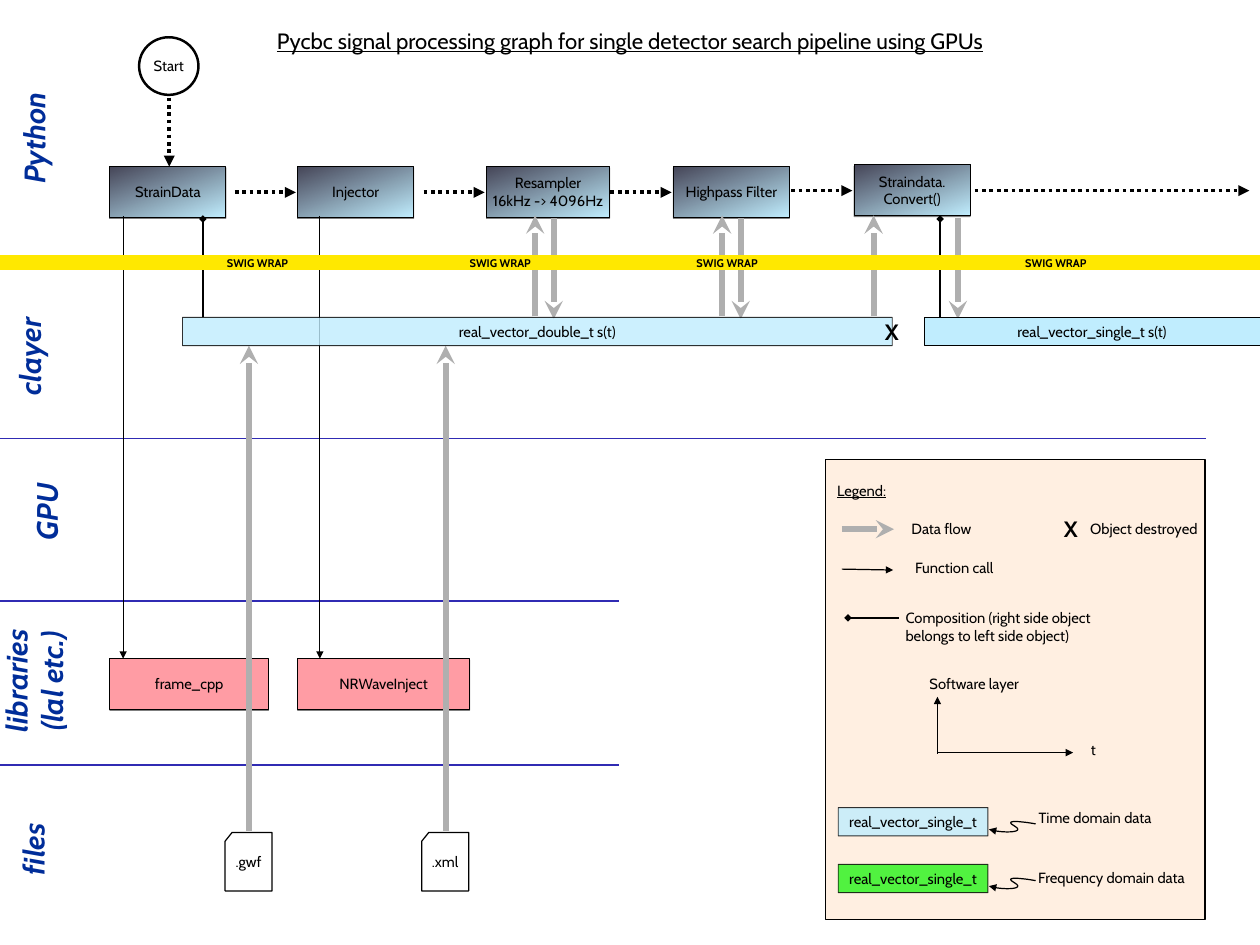
from dataclasses import dataclass

from lxml import etree
from pptx import Presentation
from pptx.dml.color import RGBColor
from pptx.enum.dml import MSO_LINE
from pptx.enum.shapes import MSO_CONNECTOR, MSO_SHAPE
from pptx.enum.text import MSO_ANCHOR, MSO_AUTO_SIZE, PP_ALIGN
from pptx.oxml.ns import qn
from pptx.util import Inches, Pt

RECT, OVAL = MSO_SHAPE.RECTANGLE, MSO_SHAPE.OVAL
STRAIGHT, DOTS = MSO_CONNECTOR.STRAIGHT, MSO_LINE.ROUND_DOT
MIDDLE, BOTTOM = MSO_ANCHOR.MIDDLE, MSO_ANCHOR.BOTTOM
LEFT, CENTER, FIXED = PP_ALIGN.LEFT, PP_ALIGN.CENTER, MSO_AUTO_SIZE.NONE
COLUMNS, ROWS, CELL = 14.22, 10.66, 1


@dataclass(frozen=True)
class Theme:
    """Colours and type sizes of the slide."""
    font: str = "Cabin"
    ink: str = "000000"
    lane: str = "002D99"
    divider: str = "302BB3"
    flow: str = "AFAFAF"
    band: str = "FFE800"
    step_dark: str = "464658"
    time_data: str = "C0EDFE"
    frequency_data: str = "26F318"
    library: str = "FF9CA4"
    legend: str = "FFEFE1"
    small: int = 9
    body: int = 12
    title: int = 18
    heading: int = 24


@dataclass(frozen=True)
class Stroke:
    """Look of a line and of its two ends."""
    colour: str
    width: float
    head: str = "none"
    tail: str = "none"
    dotted: bool = False


@dataclass(frozen=True)
class Box:
    """Area measured in columns and rows of the slide grid."""
    left: float
    top: float
    width: float
    height: float

    def area(self, x, y, width, height):
        """Return a smaller area placed relative to this one."""
        return Box(self.left + x, self.top + y, width, height)

    def point(self, x, y):
        """Return a position relative to this area in slide units."""
        return Inches((self.left + x) * CELL), Inches((self.top + y) * CELL)

    def frame(self):
        """Return left, top, width and height in slide units."""
        return (*self.point(0, 0), Inches(self.width * CELL), Inches(self.height * CELL))


THEME = Theme()
DIVIDER = Stroke(THEME.divider, 1)
BAND = Stroke(THEME.band, 12)
OUTLINE = Stroke(THEME.ink, 1)
THIN = Stroke(THEME.ink, 0.75)
RING = Stroke(THEME.ink, 2)
CALL = Stroke(THEME.ink, 1, tail="triangle")
COMPOSITION = Stroke(THEME.ink, 2, head="diamond")
FLOW = Stroke(THEME.flow, 5, tail="stealth")
SEQUENCE = Stroke(THEME.ink, 3, tail="triangle", dotted=True)


def apply_stroke(drawn, stroke):
    """Give a shape or connector its line and arrowheads."""
    drawn.line.color.rgb = RGBColor.from_string(stroke.colour)
    drawn.line.width = Pt(stroke.width)
    if stroke.dotted:
        drawn.line.dash_style = DOTS
    ln = drawn.element.spPr.find(qn("a:ln"))
    for end, kind in (("a:headEnd", stroke.head), ("a:tailEnd", stroke.tail)):
        if kind != "none":
            etree.SubElement(ln, qn(end), type=kind)


def write(holder, text, size=THEME.body, colour=THEME.ink, align=CENTER, wrap=True,
          anchor=MIDDLE, bold=False, italic=False, underline=False):
    """Fill a holder with formatted text."""
    frame = holder.text_frame
    frame.text = text
    frame.auto_size, frame.word_wrap, frame.vertical_anchor = FIXED, wrap, anchor
    frame.margin_left = frame.margin_right = frame.margin_top = frame.margin_bottom = 0
    for paragraph in frame.paragraphs:
        paragraph.alignment = align
        font = paragraph.font
        font.name, font.size = THEME.font, Pt(size)
        font.bold, font.italic, font.underline = bold, italic, underline
        font.color.rgb = RGBColor.from_string(colour)


def label(shapes, box, text, rotation=0, **style):
    """Add free text in a box."""
    holder = shapes.add_textbox(*box.frame())
    holder.rotation = rotation
    write(holder, text, **style)


def link(shapes, box, start, end, stroke):
    """Join two points of a box with a straight line."""
    line = shapes.add_connector(STRAIGHT, *box.point(*start), *box.point(*end))
    apply_stroke(line, stroke)
    etree.SubElement(line.element.spPr, qn("a:effectLst"))


def block(shapes, box, text="", colour=None, stroke=THIN, kind=RECT, opacity=100):
    """Add an outlined block with centred text."""
    shape = shapes.add_shape(kind, *box.frame())
    shape.shadow.inherit = False
    if colour:
        shape.fill.solid()
        shape.fill.fore_color.rgb = RGBColor.from_string(colour)
    else:
        shape.fill.background()
    apply_stroke(shape, stroke)
    if opacity < 100:
        for tint in shape.element.spPr.iter(qn("a:srgbClr")):
            etree.SubElement(tint, qn("a:alpha"), val=str(opacity * 1000))
    if text:
        write(shape, text)
    return shape


def add_shadow(shape):
    """Put a thin dark edge below a block."""
    effects = shape.element.spPr.find(qn("a:effectLst"))
    shadow = etree.SubElement(effects, qn("a:outerShdw"), blurRad="0", dist="12700", dir="5400000")
    tint = etree.SubElement(shadow, qn("a:srgbClr"), val=THEME.ink)
    etree.SubElement(tint, qn("a:alpha"), val="50000")


def outline(shapes, points, stroke, close):
    """Draw an unfilled outline through points in slide units."""
    builder = shapes.build_freeform(*points[0])
    builder.add_line_segments(points[1:], close=close)
    shape = builder.convert_to_shape()
    shape.shadow.inherit = False
    shape.fill.background()
    apply_stroke(shape, stroke)
    return shape


def draw_title(shapes, box):
    """Place the slide title."""
    title = shapes.title
    title.left, title.top, title.width, title.height = box.frame()
    write(title, "Pycbc signal processing graph for single detector search pipeline using GPUs",
          size=THEME.title, anchor=BOTTOM, underline=True)


def draw_lanes(shapes, box):
    """Name the software layers and separate them."""
    for y, width in ((4.95, 13.61), (6.78, 6.99), (8.63, 6.99)):
        link(shapes, box, (0, y), (width, y), DIVIDER)
    for name, x, y in (("Python", 0.38, 1.56), ("clayer", 0.33, 4.02), ("GPU", 0.52, 5.77),
                       ("libraries\n(lal etc.)", 0.38, 7.68), ("files", 0.37, 9.58)):
        label(shapes, box.area(x - 0.8, y - 0.4, 1.6, 0.8), name, rotation=270,
              size=THEME.heading, colour=THEME.lane, bold=True, italic=True)


def draw_steps(shapes, box):
    """Draw the chain of Python processing steps."""
    block(shapes, box.area(1.57, 0.42, 0.67, 0.65), "Start", stroke=RING, kind=OVAL)
    link(shapes, box, (1.91, 1.1), (1.91, 1.88), SEQUENCE)
    steps = (("StrainData", 1.24, 1.88, 1.31), ("Injector", 3.36, 1.88, 1.31),
             ("Resampler\n16kHz -> 4096Hz", 5.49, 1.88, 1.39),
             ("Highpass Filter", 7.6, 1.88, 1.31), ("Straindata.\nConvert()", 9.64, 1.86, 1.31))
    for order, (name, x, y, width) in enumerate(steps):
        step = block(shapes, box.area(x, y, width, 0.57), name, THEME.time_data)
        step.fill.gradient()
        step.fill.gradient_angle = 110
        for stop, colour in zip(step.fill.gradient_stops, (THEME.time_data, THEME.step_dark)):
            stop.color.rgb = RGBColor.from_string(colour)
        add_shadow(step)
        if order:
            link(shapes, box, (x - 0.71, y + 0.29), (x - 0.02, y + 0.29), SEQUENCE)
    link(shapes, box, (11, 2.15), (14.1, 2.15), SEQUENCE)


def draw_libraries(shapes, box):
    """Draw the called libraries."""
    for name, x, width in (("frame_cpp", 1.24, 1.79), ("NRWaveInject", 3.36, 1.94)):
        add_shadow(block(shapes, box.area(x, 0.65, width, 0.57), name, THEME.library))


def draw_links(shapes, box):
    """Draw the calls, compositions and data flows between layers."""
    for x in (1.39, 3.61):
        link(shapes, box, (x, 2.44), (x, 7.43), CALL)
    for x in (2.29, 10.61):
        link(shapes, box, (x, 2.47), (x, 3.58), COMPOSITION)
    for x in (6.04, 8.15, 9.86):
        link(shapes, box, (x, 3.57), (x, 2.43), FLOW)
    for x in (6.25, 8.36, 10.81):
        link(shapes, box, (x, 2.46), (x, 3.6), FLOW)
    for x in (2.81, 5.03):
        link(shapes, box, (x, 9.37), (x, 3.9), FLOW)


def draw_vectors(shapes, box):
    """Draw the data vectors of the C layer."""
    block(shapes, box.area(10.43, 0.62, 3.79, 0.32), "real_vector_single_t s(t)", THEME.time_data)
    block(shapes, box.area(2.06, 0.62, 8.01, 0.32), "real_vector_double_t s(t)",
          THEME.time_data, opacity=80)
    label(shapes, box.area(9.98, 0.63, 0.17, 0.3), "X", size=THEME.title, wrap=False, bold=True)


def draw_files(shapes, box):
    """Draw the input files as sheets with a cut corner."""
    for name, x in ((".gwf", 2.54), (".xml", 4.76)):
        sheet = box.area(x, 0.76, 0.53, 0.66)
        corners = ((0, 0.1), (0.08, 0), (0.53, 0), (0.53, 0.66), (0, 0.66))
        outline(shapes, [sheet.point(*corner) for corner in corners], OUTLINE, True)
        label(shapes, sheet, name, wrap=False)


def draw_band(shapes, box):
    """Draw the wrapper band between Python and the C layer."""
    link(shapes, box, (0, 0.12), (box.width, 0.12), BAND)
    for x in (1.86, 4.6, 7.16, 10.87):
        label(shapes, box.area(x, 0, 2.09, 0.25), "SWIG WRAP", size=THEME.small, bold=True)


def draw_pointer(shapes, box):
    """Draw a wavy arrow that points to the left."""
    curves = (((0.53, 0.11), (0.53, 0.11), (0.12, 0.01), (0.29, 0.12)),
              ((0.29, 0.12), (0.43, 0.21), (0.12, 0.19), (0, 0.14)))
    points = []
    for curve in curves:
        for t in (step / 12 for step in range(13)):
            weights = ((1 - t) ** 3, 3 * t * (1 - t) ** 2, 3 * t * t * (1 - t), t ** 3)
            points.append(box.point(*(sum(w * p for w, p in zip(weights, axis))
                                      for axis in zip(*curve))))
    outline(shapes, points, CALL, False).rotation = 356.6


def draw_legend(shapes, box):
    """Explain the symbols of the graph."""
    block(shapes, box, colour=THEME.legend, stroke=OUTLINE)
    label(shapes, box.area(0.09, 0.25, 0.63, 0.2), "Legend:", wrap=False, underline=True)
    for start, end, stroke in (((0.18, 0.79), (0.77, 0.79), FLOW),
                               ((0.18, 1.24), (0.76, 1.25), CALL),
                               ((0.25, 1.79), (0.83, 1.79), COMPOSITION),
                               ((1.26, 3.32), (1.26, 2.68), CALL),
                               ((1.26, 3.31), (2.79, 3.31), CALL)):
        link(shapes, box, start, end, stroke)
    for text, x, y, width in (("Data flow", 0.93, 0.68, 0.75), ("Function call", 0.96, 1.12, 0.98),
                              ("Object destroyed", 2.92, 0.68, 1.34), ("t", 2.99, 3.18, 0.06),
                              ("Software layer", 1.11, 2.43, 1.13),
                              ("Time domain data", 2.33, 3.94, 1.42),
                              ("Frequency domain data", 2.3, 4.62, 1.85)):
        label(shapes, box.area(x, y, width, 0.2), text, wrap=False)
    label(shapes, box.area(0.9, 1.69, 2.4, 0.4),
          "Composition (right side object\nbelongs to left side object)", align=LEFT)
    label(shapes, box.area(2.68, 0.63, 0.17, 0.3), "X", size=THEME.title, wrap=False, bold=True)
    for y, colour in ((3.93, THEME.time_data), (4.57, THEME.frequency_data)):
        block(shapes, box.area(0.14, y, 1.69, 0.32), "real_vector_single_t", colour, opacity=80)
        draw_pointer(shapes, box.area(1.84, y + 0.09, 0.53, 0.11))


def main():
    """Build the slide and save it."""
    deck = Presentation()
    deck.slide_width, deck.slide_height = Inches(COLUMNS * CELL), Inches(ROWS * CELL)
    shapes = deck.slides.add_slide(deck.slide_layouts[5]).shapes
    page = Box(0, 0, COLUMNS, ROWS)
    draw_title(shapes, page.area(1.39, 0.19, 11.44, 0.42))
    draw_legend(shapes, page.area(9.32, 5.18, 4.28, 5.19))
    draw_lanes(shapes, page)
    draw_steps(shapes, page.area(0, 0, COLUMNS, 2.96))
    draw_libraries(shapes, page.area(0, 6.78, COLUMNS, 1.85))
    draw_links(shapes, page)
    draw_vectors(shapes, page.area(0, 2.96, COLUMNS, 1.99))
    draw_files(shapes, page.area(0, 8.63, COLUMNS, 2.03))
    draw_band(shapes, page.area(0, 2.84, COLUMNS, 0.25))
    deck.save("out.pptx")


if __name__ == "__main__":
    main()
